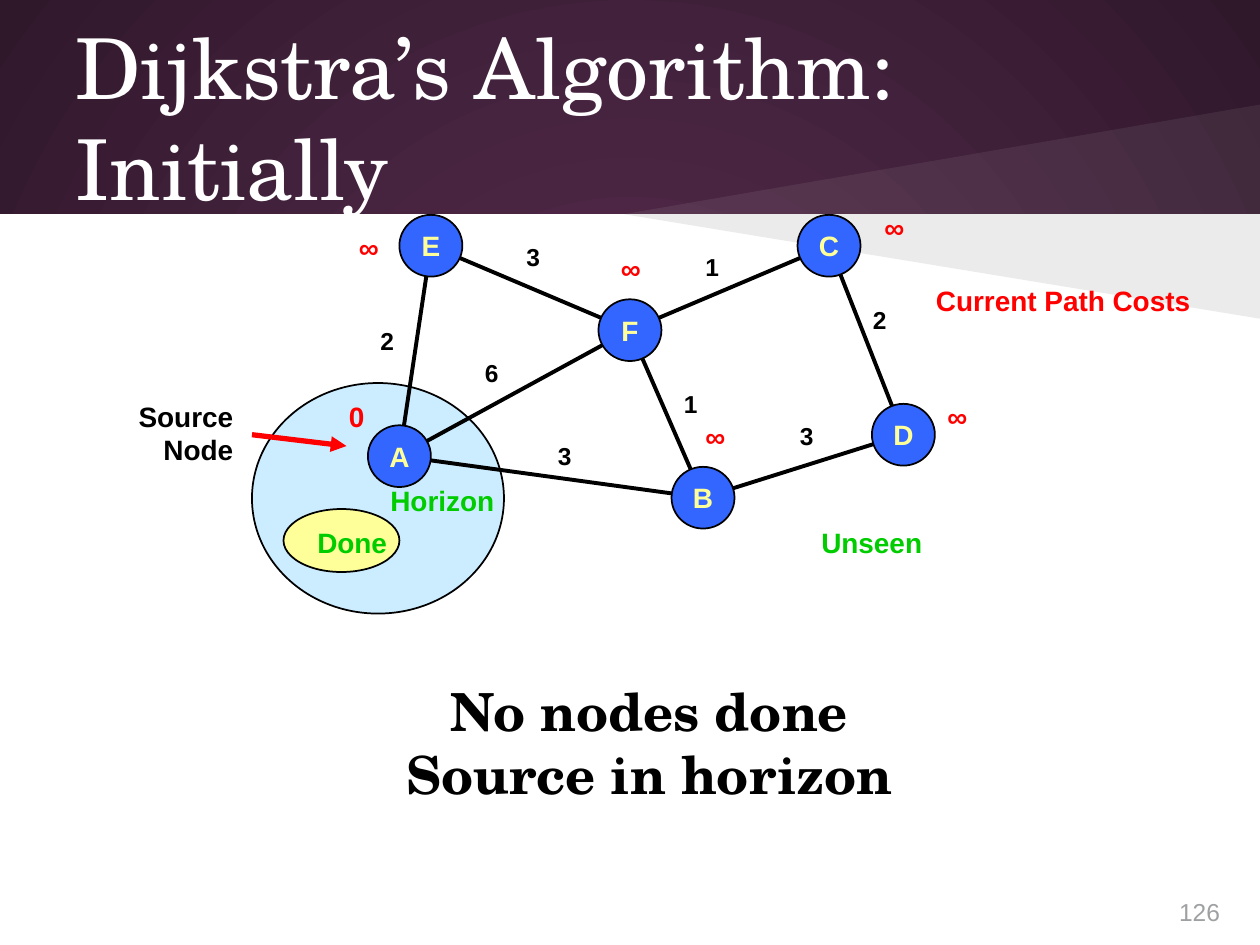
import pptx
import pptx.util
import pptx.dml.color
import pptx.enum.shapes
import pptx.enum.text
import pptx.oxml
import pptx.oxml.ns
from lxml import etree
from pptx.util import Inches

SERIF = "TeX Gyre Schola"
SANS = "Arial"
BLACK, WHITE, RED, GREEN = "000000", "FFFFFF", "FF0000", "00CC00"
ALIGN = pptx.enum.text.PP_ALIGN
ANCHOR = pptx.enum.text.MSO_ANCHOR
SHAPE = pptx.enum.shapes.MSO_SHAPE
NODE_W, NODE_H = 0.5, 0.49

NODES = {
    "A": (3.17, 3.62),
    "E": (3.42, 1.95),
    "F": (5, 2.62),
    "C": (6.58, 1.95),
    "D": (7.17, 3.45),
    "B": (5.58, 3.95),
}
EDGES = [
    ("E", "A", "2", 2.92, 2.54),
    ("F", "E", "3", 4.08, 1.87),
    ("F", "C", "1", 5.5, 1.95),
    ("C", "D", "2", 6.83, 2.37),
    ("B", "D", "3", 6.25, 3.29),
    ("B", "F", "1", 5.33, 3.04),
    ("A", "F", "6", 3.75, 2.79),
    ("A", "B", "3", 4.33, 3.45),
]
COSTS = [
    ("0", 2.67, 3.12),
    ("∞", 2.75, 1.78),
    ("∞", 4.83, 1.95),
    ("∞", 5.5, 3.28),
    ("∞", 6.92, 1.62),
    ("∞", 7.42, 3.12),
]


def rgb(color):
    return pptx.dml.color.RGBColor.from_string(color)


def child(parent, tag, **attrs):
    return etree.SubElement(parent, pptx.oxml.ns.qn(tag), **attrs)


def set_text(s, text, size, color, font=SANS, bold=True, align=ALIGN.LEFT):
    tf = s.text_frame
    tf.text = text
    for p in tf.paragraphs:
        p.alignment = align
        for r in p.runs:
            r.font.name = font
            r.font.size = pptx.util.Pt(size)
            r.font.bold = bold
            r.font.color.rgb = rgb(color)


def set_margins(tf, margin):
    tf.margin_left = tf.margin_right = Inches(margin)
    tf.margin_top = tf.margin_bottom = Inches(margin)


def paint(s, fill, line=None, alpha=None):
    s.shadow.inherit = False
    s.fill.solid()
    s.fill.fore_color.rgb = rgb(fill)
    if alpha:
        clr = s.fill._xPr.find(".//" + pptx.oxml.ns.qn("a:srgbClr"))
        child(clr, "a:alpha", val=str(alpha * 1000))
    if line:
        s.line.color.rgb = rgb(line)
        s.line.width = pptx.util.Pt(1)
    else:
        s.line.fill.background()


def add_shape(slide, kind, x, y, w, h, fill, line=None):
    s = slide.shapes.add_shape(kind, Inches(x), Inches(y), Inches(w), Inches(h))
    paint(s, fill, line)
    return s


def add_wedge(slide, tip_y, fill, alpha):
    builder = slide.shapes.build_freeform(Inches(10), Inches(1.7))
    builder.add_line_segments([(Inches(4.95), Inches(1.7)), (Inches(10), Inches(tip_y))])
    paint(builder.convert_to_shape(), fill, alpha=alpha)


def add_line(slide, start, end, color, width, arrow=False):
    points = [Inches(v) for v in (*start, *end)]
    s = slide.shapes.add_connector(pptx.enum.shapes.MSO_CONNECTOR.STRAIGHT, *points)
    s.line.color.rgb = rgb(color)
    s.line.width = pptx.util.Pt(width)
    if arrow:
        child(s.line._get_or_add_ln(), "a:tailEnd", type="triangle")
    child(s._element.spPr, "a:effectLst")


def add_label(slide, text, x, y, w, h, size=16, color=BLACK, wrap=False, **style):
    s = slide.shapes.add_textbox(Inches(x), Inches(y), Inches(w), Inches(h))
    s.text_frame.word_wrap = wrap
    set_text(s, text, size, color, **style)
    return s


def add_node(slide, name, x, y):
    s = add_shape(slide, SHAPE.OVAL, x - NODE_W / 2, y - NODE_H / 2,
                  NODE_W, NODE_H, "3366FF", BLACK)
    set_margins(s.text_frame, 0)
    s.text_frame.word_wrap = False
    s.text_frame.vertical_anchor = ANCHOR.MIDDLE
    set_text(s, name, 16, "FFFF99", align=ALIGN.CENTER)


def add_backdrop(slide):
    fill = slide.background.fill
    fill.gradient()
    for stop, color in zip(fill.gradient_stops, ("592D50", "30182B")):
        stop.color.rgb = rgb(color)
    lin = slide._element.find(".//" + pptx.oxml.ns.qn("a:lin"))
    grad = lin.getparent()
    grad.remove(lin)
    path = child(grad, "a:path", path="circle")
    child(path, "a:fillToRect", l="50000", t="50000", r="50000", b="50000")
    add_shape(slide, SHAPE.RECTANGLE, 0, 1.7, 10, 5.8, WHITE)
    add_wedge(slide, 0.83, WHITE, 7)
    add_wedge(slide, 2.53, BLACK, 8)


def add_title(slide, text):
    s = slide.shapes.title
    s.left, s.top, s.width, s.height = (Inches(v) for v in (0.5, 0.3, 9, 1.25))
    tf = s.text_frame
    set_margins(tf, 0.1)
    tf.auto_size = pptx.enum.text.MSO_AUTO_SIZE.NONE
    tf.vertical_anchor = ANCHOR.MIDDLE
    set_text(s, text, 48, WHITE, font=SERIF, bold=False)
    slide.shapes._spTree.append(s._element)


def add_graph(slide):
    add_shape(slide, SHAPE.OVAL, 2, 3.04, 2, 1.83, "CCECFF", BLACK)
    add_shape(slide, SHAPE.OVAL, 2.25, 4.04, 0.92, 0.5, "FFFF99", BLACK)
    for start, end, *_ in EDGES:
        add_line(slide, NODES[start], NODES[end], BLACK, 2.25)
    for name, (x, y) in NODES.items():
        add_node(slide, name, x, y)
    for *_, weight, x, y in EDGES:
        add_label(slide, weight, x, y, 0.31, 0.33, size=14)


def add_annotations(slide):
    add_line(slide, (2, 3.45), (2.75, 3.54), RED, 3, arrow=True)
    add_label(slide, "Source\nNode", 1, 3.12, 0.95, 0.64, align=ALIGN.RIGHT)
    add_label(slide, "Done", 2.42, 4.12, 0.76, 0.37, color=GREEN)
    add_label(slide, "Horizon", 3, 3.79, 1.03, 0.37, color=GREEN)
    add_label(slide, "Unseen", 6.42, 4.12, 1, 0.37, color=GREEN)
    for cost, x, y in COSTS:
        add_label(slide, cost, x, y, 0.36, 0.37, color=RED)
    add_label(slide, "Current Path Costs", 7.33, 2.2, 2.23, 0.37, color=RED)


def main():
    prs = pptx.Presentation()
    prs.slide_width, prs.slide_height = Inches(10), Inches(7.5)
    slide = prs.slides.add_slide(prs.slide_layouts[5])
    add_backdrop(slide)
    add_title(slide, "Dijkstra’s Algorithm: Initially")
    s = add_label(slide, "No nodes done\nSource in horizon", 2.54, 5.29, 5.23, 1.44,
                  size=30, wrap=True, font=SERIF, align=ALIGN.CENTER)
    set_margins(s.text_frame, 0.1)
    add_label(slide, "126", 9.26, 7.07, 0.74, 0.3, size=14, color="9EA0A2",
              wrap=True, bold=False)
    add_graph(slide)
    add_annotations(slide)
    prs.save("out.pptx")


if __name__ == "__main__":
    main()
